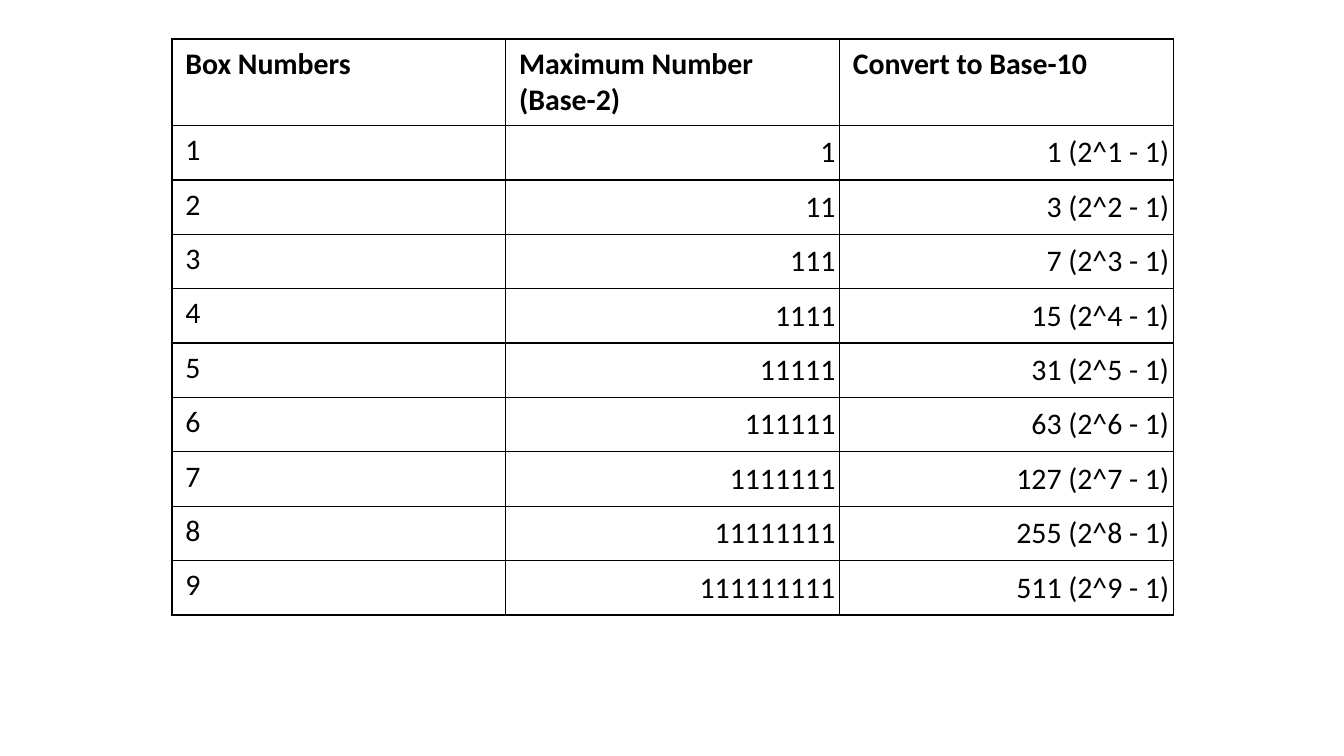
from lxml.etree import SubElement
from pptx import Presentation
from pptx.dml.color import RGBColor
from pptx.enum.text import MSO_ANCHOR as Anchor, PP_ALIGN as Align
from pptx.oxml.ns import qn
from pptx.util import Inches, Pt

WIDE = Inches(10)
HIGH = WIDE * 9 // 16
INK = {"text": "000000", "rule": "000000"}
FONT, SIZE = "Calibri", Pt(16)
RULE = Pt(0.75)
INSET = Inches(0.03)
HEADS = ["Box Numbers", "Maximum Number (Base-2)", "Convert to Base-10"]
BOXES = 9


def frame(cell):
    """Rule all four sides of a cell and leave it unfilled."""
    props = cell._tc.get_or_add_tcPr()
    for side in "LRTB":
        line = SubElement(props, qn(f"a:ln{side}"), w=str(RULE))
        fill = SubElement(line, qn("a:solidFill"))
        SubElement(fill, qn("a:srgbClr"), val=INK["rule"])
    cell.fill.background()


def write(cell, text, bold):
    run = cell.text_frame.paragraphs[0].add_run()
    run.text = text
    font = run.font
    font.name, font.size, font.bold = FONT, SIZE, bold
    font.color.rgb = RGBColor.from_string(INK["text"])


def align_right(cell):
    cell.vertical_anchor = Anchor.MIDDLE
    cell.margin_left = cell.margin_right = INSET
    cell.margin_top = cell.margin_bottom = INSET
    cell.text_frame.paragraphs[0].alignment = Align.RIGHT


def add_grid(slide, box, rows):
    """Fill the box with equal rows and columns of text."""
    shape = slide.shapes.add_table(len(rows), len(rows[0]), *box)
    table = shape.table
    table.first_row = table.horz_banding = False
    for r, row in enumerate(rows):
        for c, text in enumerate(row):
            cell = table.cell(r, c)
            frame(cell)
            write(cell, text, bold=r == 0)
            if r and c:
                align_right(cell)


def main():
    deck = Presentation()
    deck.slide_width, deck.slide_height = WIDE, HIGH
    slide = deck.slides.add_slide(deck.slide_layouts[6])
    rows = [HEADS] + [
        [str(n), "1" * n, f"{2 ** n - 1} (2^{n} - 1)"] for n in range(1, BOXES + 1)
    ]
    box = [Inches(side) for side in (1.28, 0.29, 7.45, 4.05)]
    add_grid(slide, box, rows)
    deck.save("out.pptx")


if __name__ == "__main__":
    main()
